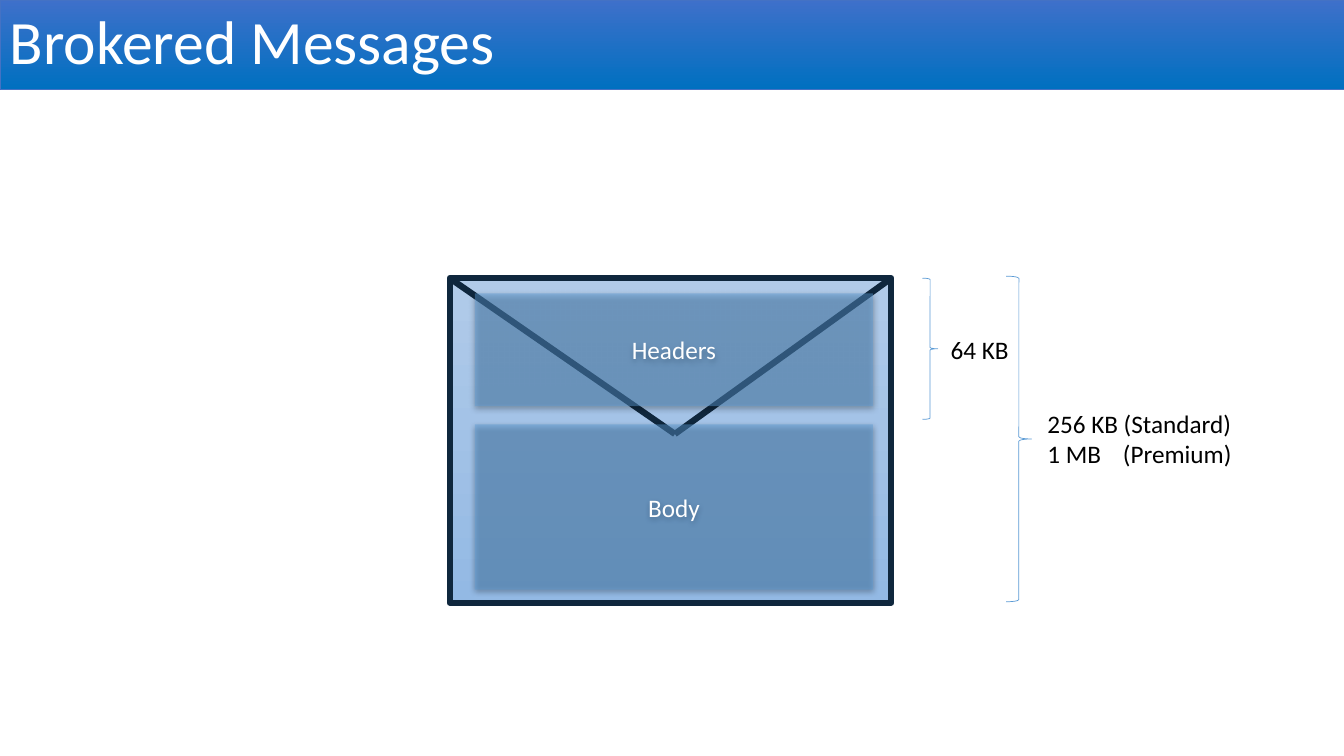
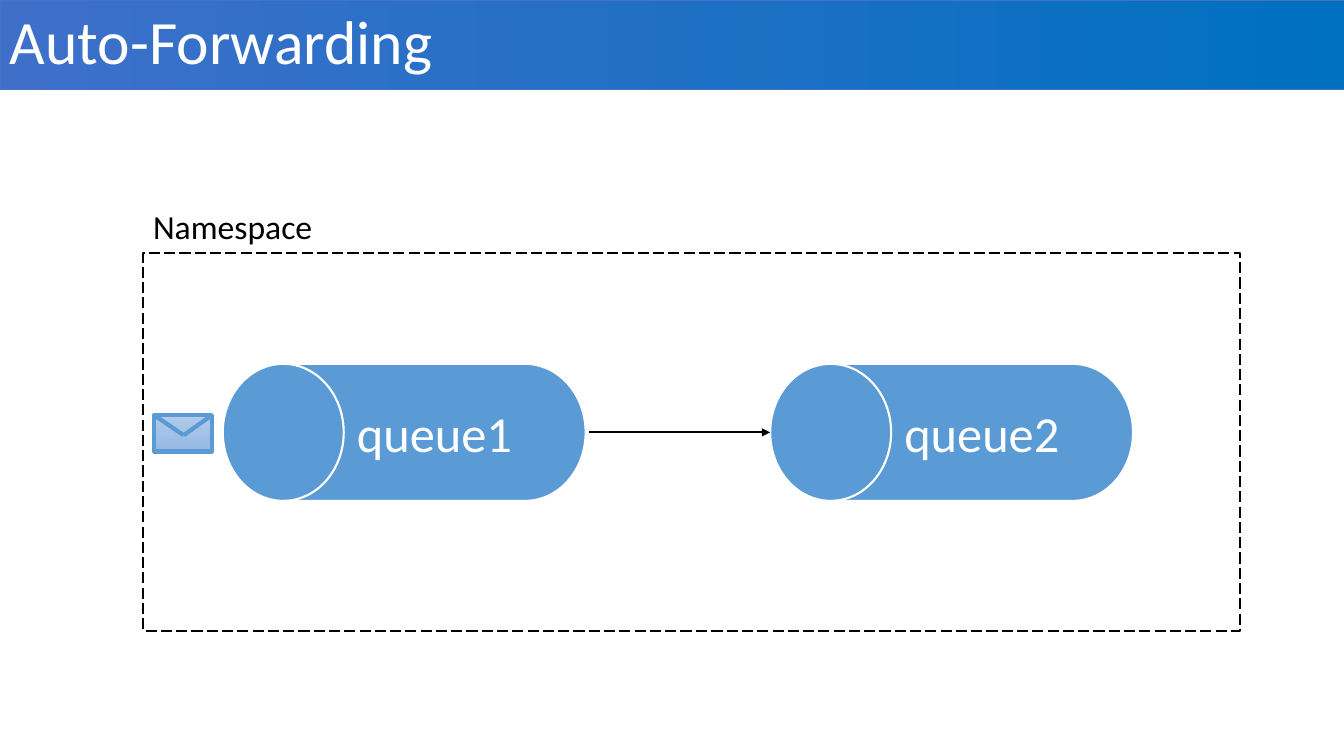
from typing import NamedTuple, Optional

from lxml.etree import SubElement
from pptx import Presentation
from pptx.dml.color import RGBColor
from pptx.enum.dml import MSO_LINE_DASH_STYLE as Dash
from pptx.enum.shapes import MSO_CONNECTOR as Connector, MSO_SHAPE as Preset
from pptx.enum.text import MSO_ANCHOR as Anchor, PP_ALIGN as Align
from pptx.oxml.ns import qn
from pptx.util import Inches, Pt

FONT = "Calibri"
COLORS = {
    "white": "FFFFFF",
    "black": "000000",
    "blue": "5B9BD5",
    "navy": "0F273D",
    "band_start": "3E70CA",
    "band_end": "0070C0",
    "band_line": "4472C4",
    "paper_top": "B1CBE9",
    "paper_bottom": "93B9E4",
}
WIDTH, HEIGHT = Inches(13.333), Inches(7.5)
DOWN, ACROSS = 270, 0  # gradient angles, counter-clockwise


class Box(NamedTuple):
    """A frame, in percent of the slide's width and height."""
    left: float
    top: float
    width: float
    height: float

    def point(self, across: float, down: float) -> tuple[float, float]:
        return self.left + across * self.width, self.top + down * self.height


class Gradient(NamedTuple):
    start: str
    end: str
    angle: float


class Stroke(NamedTuple):
    color: str
    width: float
    dash: Optional[Dash] = None


class Panel(NamedTuple):
    text: str
    top: float
    height: float


class Measure(NamedTuple):
    lines: list[str]
    brace: Box
    label: Box


PAPER = Gradient("paper_top", "paper_bottom", DOWN)
THIN_BLUE = Stroke("blue", 0.5)


def rgb(name: str) -> RGBColor:
    return RGBColor.from_string(COLORS[name])


def across(share: float) -> int:
    return round(WIDTH * share / 100)


def down(share: float) -> int:
    return round(HEIGHT * share / 100)


def frame(box: Box) -> tuple[int, int, int, int]:
    return across(box.left), down(box.top), across(box.width), down(box.height)


def write(holder, lines: list[str], *, size: float, color: str = "black",
          align=Align.LEFT, anchor=Anchor.TOP, spacing: float = 1.0,
          tab: Optional[float] = None) -> None:
    """Fill a shape or text box with one paragraph per line."""
    text = holder.text_frame
    text.word_wrap = True
    text.vertical_anchor = anchor
    for index, line in enumerate(lines):
        para = text.paragraphs[0] if index == 0 else text.add_paragraph()
        para.alignment = align
        para.line_spacing = spacing
        if tab:
            stops = SubElement(para._p.get_or_add_pPr(), qn("a:tabLst"))
            SubElement(stops, qn("a:tab"), pos=str(Inches(tab)), algn="l")
        span = para.add_run()
        span.text = line
        span.font.name = FONT
        span.font.size = Pt(size)
        span.font.color.rgb = rgb(color)


def add_label(page, box: Box, lines: list[str], **style) -> None:
    write(page.shapes.add_textbox(*frame(box)), lines, **style)


def apply_stroke(line, stroke: Stroke) -> None:
    line.color.rgb = rgb(stroke.color)
    line.width = Pt(stroke.width)
    if stroke.dash:
        line.dash_style = stroke.dash


def add_figure(page, preset, box: Box, fill: str | Gradient | None = None,
               stroke: Optional[Stroke] = None):
    figure = page.shapes.add_shape(preset, *frame(box))
    if isinstance(fill, Gradient):
        figure.fill.gradient()
        figure.fill.gradient_angle = fill.angle
        for stop, name in zip(figure.fill.gradient_stops, (fill.start, fill.end)):
            stop.color.rgb = rgb(name)
    elif fill:
        figure.fill.solid()
        figure.fill.fore_color.rgb = rgb(fill)
    else:
        figure.fill.background()
    if stroke:
        apply_stroke(figure.line, stroke)
    else:
        figure.line.fill.background()
    figure.shadow.inherit = False
    return figure


def add_line(page, start: tuple[float, float], end: tuple[float, float],
             stroke: Stroke, arrow: bool = False) -> None:
    line = page.shapes.add_connector(
        Connector.STRAIGHT, across(start[0]), down(start[1]),
        across(end[0]), down(end[1]))
    apply_stroke(line.line, stroke)
    if arrow:
        SubElement(line.line._get_or_add_ln(), qn("a:tailEnd"), type="triangle")
    SubElement(line._element.spPr, qn("a:effectLst"))


def add_page(deck, title: str, angle: float):
    """Blank page with the title band."""
    page = deck.slides.add_slide(deck.slide_layouts[6])
    band = add_figure(page, Preset.RECTANGLE, Box(0, 0, 100, 11.87),
                      Gradient("band_start", "band_end", angle),
                      Stroke("band_line", 0.5))
    write(band, [title], size=44, color="white", anchor=Anchor.MIDDLE, spacing=0.9)
    return page


def add_envelope(page, box: Box, stroke: Stroke, tip_depth: float) -> None:
    add_figure(page, Preset.RECTANGLE, box, PAPER, stroke)
    tip = box.point(0.51, tip_depth)
    add_line(page, box.point(0, 0), tip, stroke)
    add_line(page, tip, box.point(1, 0), stroke)


def add_panel(page, panel: Panel) -> None:
    """Translucent block with a soft shadow below it."""
    box = Box(35.33, panel.top, 29.63, panel.height)
    block = add_figure(page, Preset.RECTANGLE, box, "blue")
    properties = block._element.spPr
    color = properties.find(qn("a:solidFill")).find(qn("a:srgbClr"))
    SubElement(color, qn("a:alpha"), val="46000")
    shadow = SubElement(properties.find(qn("a:effectLst")), qn("a:outerShdw"),
                        blurRad=str(Pt(4.5)), dist=str(Pt(1.5)), dir="5400000",
                        algn="ctr", rotWithShape="0")
    shade = SubElement(shadow, qn("a:srgbClr"), val=COLORS["black"])
    SubElement(shade, qn("a:alpha"), val="63000")
    write(block, [panel.text], size=18, color="white",
          align=Align.CENTER, anchor=Anchor.MIDDLE)


def add_queue(page, box: Box, name: str) -> None:
    drum = add_figure(page, Preset.FLOWCHART_DIRECT_ACCESS_STORAGE, box, "blue",
                      Stroke("white", 1.5))
    drum._element.spPr.xfrm.set("flipH", "1")
    write(drum, [name], size=36, color="white",
          align=Align.CENTER, anchor=Anchor.MIDDLE)


def build_messages(deck) -> None:
    page = add_page(deck, "Brokered Messages", DOWN)
    add_envelope(page, Box(33.46, 36.8, 32.86, 42.93), Stroke("navy", 4.5), 0.48)
    for panel in (Panel("Headers", 38.8, 14.93), Panel("Body", 56.13, 21.87)):
        add_panel(page, panel)
    # Size limits
    measures = (
        Measure(["256 KB (Standard)", "1 MB\t(Premium)"],
                Box(74.87, 36.53, 1.88, 43.07), Box(77.19, 53.33, 16.28, 9.47)),
        Measure(["64 KB"],
                Box(68.64, 36.8, 1.13, 18.67), Box(70, 43.6, 7.2, 5.33)),
    )
    for measure in measures:
        add_figure(page, Preset.RIGHT_BRACE, measure.brace, stroke=THIN_BLUE)
        add_label(page, measure.label, measure.lines, size=18, tab=0.75)


def build_forwarding(deck) -> None:
    page = add_page(deck, "Auto-Forwarding", ACROSS)
    # Queues and the arrow between them
    first = Box(16.58, 48.13, 27, 18.13)
    second = first._replace(left=57.31)
    add_queue(page, first, "queue1")
    add_queue(page, second, "queue2")
    start_x, middle = first.point(1.01, 0.5)
    add_line(page, (start_x, middle), second.point(0, 0.5),
             Stroke("black", 1.5), arrow=True)
    # Namespace border and its name
    border = Box(10.65, 33.47, 81.6, 50)
    add_figure(page, Preset.RECTANGLE, border,
               stroke=Stroke("black", 1, Dash.LONG_DASH))
    add_label(page, Box(border.left, 26.53, 23, 6.67), ["Namespace"], size=24)
    # Incoming message
    add_envelope(page, Box(11.48, 54.93, 4.28, 4.8), Stroke("blue", 3), 0.55)


def main() -> None:
    deck = Presentation()
    deck.slide_width, deck.slide_height = WIDTH, HEIGHT
    build_messages(deck)
    build_forwarding(deck)
    deck.save("out.pptx")


if __name__ == "__main__":
    main()
